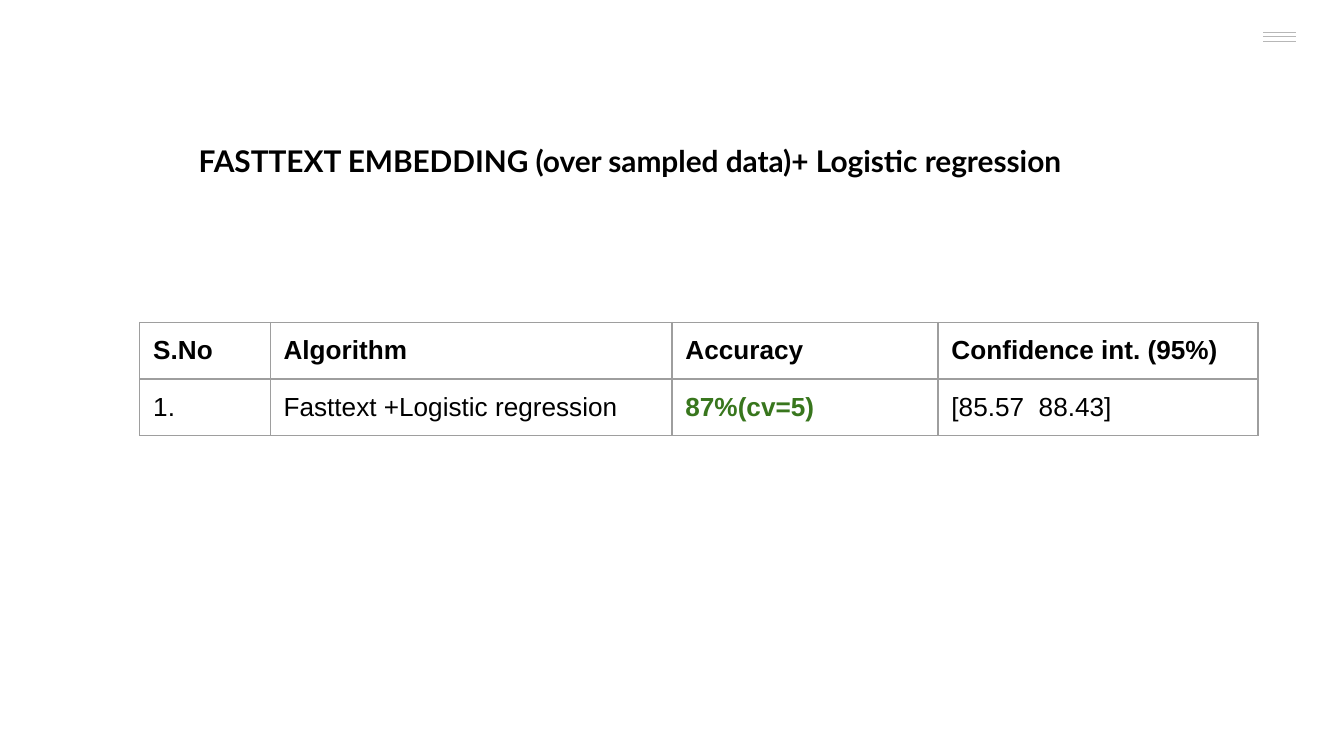
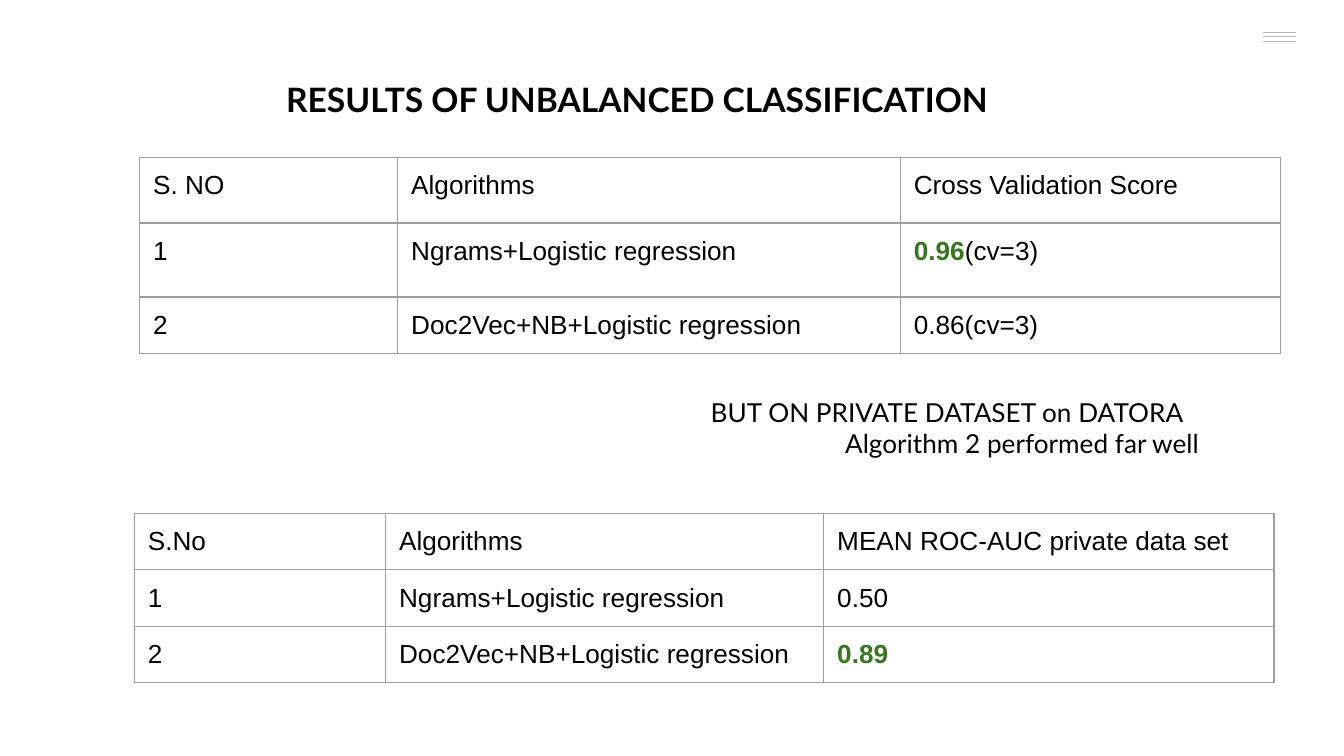
import pptx
import pptx.dml.color
import pptx.enum.shapes
import pptx.oxml
import pptx.oxml.ns
import pptx.util
from pptx.util import Inches

COLORS = {"text": "000000", "best": "38761D", "border": "9E9E9E", "menu": "B7B7B7"}
FORMATS = {
    "title": {"name": "Lato", "size": pptx.util.Pt(16), "bold": True},
    "large title": {"name": "Lato", "size": pptx.util.Pt(18), "bold": True},
    "remark": {"name": "Lato", "size": pptx.util.Pt(14), "bold": False},
    "cell": {"name": "Arial", "size": pptx.util.Pt(14), "bold": False},
    "header": {"name": "Arial", "size": pptx.util.Pt(14), "bold": True},
    "best": {"name": "Arial", "size": pptx.util.Pt(14), "bold": True},
}
MARGINS = dict.fromkeys(
    ("margin_left", "margin_top", "margin_right", "margin_bottom"), Inches(0.1)
)
CELL_MARGINS = {**MARGINS, "margin_bottom": Inches(0.08)}
LINE_WIDTH = pptx.util.Pt(0.75)
NGRAMS = "Ngrams+Logistic regression"
DOC2VEC = "Doc2Vec+NB+Logistic regression"


def rgb(role):
    return pptx.dml.color.RGBColor.from_string(COLORS[role])


def apply(target, values):
    for attribute, value in values.items():
        setattr(target, attribute, value)


class Deck:
    def __init__(self):
        self.presentation = pptx.Presentation()
        self.presentation.slide_width = Inches(10)
        self.presentation.slide_height = Inches(10) * 9 // 16
        self.slide = None

    def new_slide(self):
        self.slide = self.presentation.slides.add_slide(
            self.presentation.slide_layouts[6]
        )
        for y in (0.24, 0.27, 0.31):
            self.line(9.4, 9.64, y)

    def line(self, left, right, y):
        rule = self.slide.shapes.add_connector(
            pptx.enum.shapes.MSO_CONNECTOR.STRAIGHT,
            Inches(left), Inches(y), Inches(right), Inches(y),
        )
        rule.line.color.rgb = rgb("menu")
        rule.line.width = LINE_WIDTH
        properties = rule._element.spPr
        properties.append(pptx.oxml.parse_xml(
            f"<a:effectLst {pptx.oxml.ns.nsdecls('a')}/>"
        ))

    def run(self, paragraph, text, style):
        run = paragraph.add_run()
        run.text = text
        apply(run.font, FORMATS[style])
        run.font.color.rgb = rgb("best" if style == "best" else "text")

    def text(self, box, lines, style):
        frame = self.slide.shapes.add_textbox(*map(Inches, box)).text_frame
        frame.word_wrap = True
        apply(frame, MARGINS)
        for index, (words, indent) in enumerate(lines):
            paragraph = frame.add_paragraph() if index else frame.paragraphs[0]
            if indent:
                paragraph._p.get_or_add_pPr().set("marL", str(Inches(indent)))
            self.run(paragraph, words, style)

    def border(self, cell):
        properties = cell._tc.get_or_add_tcPr()
        for position, side in enumerate(("lnL", "lnR", "lnT", "lnB")):
            properties.insert(position, pptx.oxml.parse_xml(
                f"<a:{side} {pptx.oxml.ns.nsdecls('a')} w=\"{LINE_WIDTH}\">"
                f"<a:solidFill><a:srgbClr val=\"{COLORS['border']}\"/></a:solidFill>"
                f"</a:{side}>"
            ))

    def table(self, left, top, widths, heights, rows):
        table = self.slide.shapes.add_table(
            len(heights), len(widths), Inches(left), Inches(top),
            Inches(sum(widths)), Inches(sum(heights)),
        ).table
        apply(table, {"first_row": False, "horz_banding": False})
        for column, width in zip(table.columns, widths):
            column.width = Inches(width)
        for row, height, contents in zip(table.rows, heights, rows):
            row.height = Inches(height)
            for cell, content in zip(row.cells, contents):
                apply(cell, CELL_MARGINS)
                cell.fill.background()
                self.border(cell)
                runs = [(content, "cell")] if isinstance(content, str) else content
                for words, style in runs:
                    self.run(cell.text_frame.paragraphs[0], words, style)


def main():
    deck = Deck()

    deck.new_slide()
    deck.text(
        (1.38, 0.96, 7.08, 0.52),
        [("FASTTEXT EMBEDDING (over sampled data)+ Logistic regression", 0)],
        "title",
    )
    headings = ("S.No", "Algorithm", "Accuracy", "Confidence int. (95%)")
    deck.table(1.04, 2.4, (0.97, 2.99, 1.98, 2.38), [0.42] * 2, [
        [[(heading, "header")] for heading in headings],
        ["1.", "Fasttext +Logistic regression", [("87%(cv=5)", "best")],
         "[85.57  88.43]"],
    ])

    deck.new_slide()
    deck.text(
        (2.03, 0.49, 5.98, 0.73),
        [("RESULTS OF UNBALANCED CLASSIFICATION", 0)],
        "large title",
    )
    deck.table(1.04, 1.17, (1.92, 3.74, 2.83), (0.49, 0.55, 0.42), [
        ["S. NO", "Algorithms", "Cross Validation Score"],
        ["1", NGRAMS, [("0.96", "best"), ("(cv=3)", "cell")]],
        ["2", DOC2VEC, "0.86(cv=3)"],
    ])
    deck.table(1, 3.82, (1.87, 3.26, 3.35), [0.42] * 3, [
        ["S.No", "Algorithms", "MEAN ROC-AUC private data set"],
        ["1", NGRAMS, "0.50"],
        ["2", DOC2VEC, [("0.89", "best")]],
    ])
    deck.text(
        (1.19, 2.85, 7.97, 0.73),
        [("BUT ON PRIVATE DATASET on DATORA", 4),
         ("Algorithm 2 performed far well", 5)],
        "remark",
    )

    deck.presentation.save("out.pptx")


if __name__ == "__main__":
    main()
